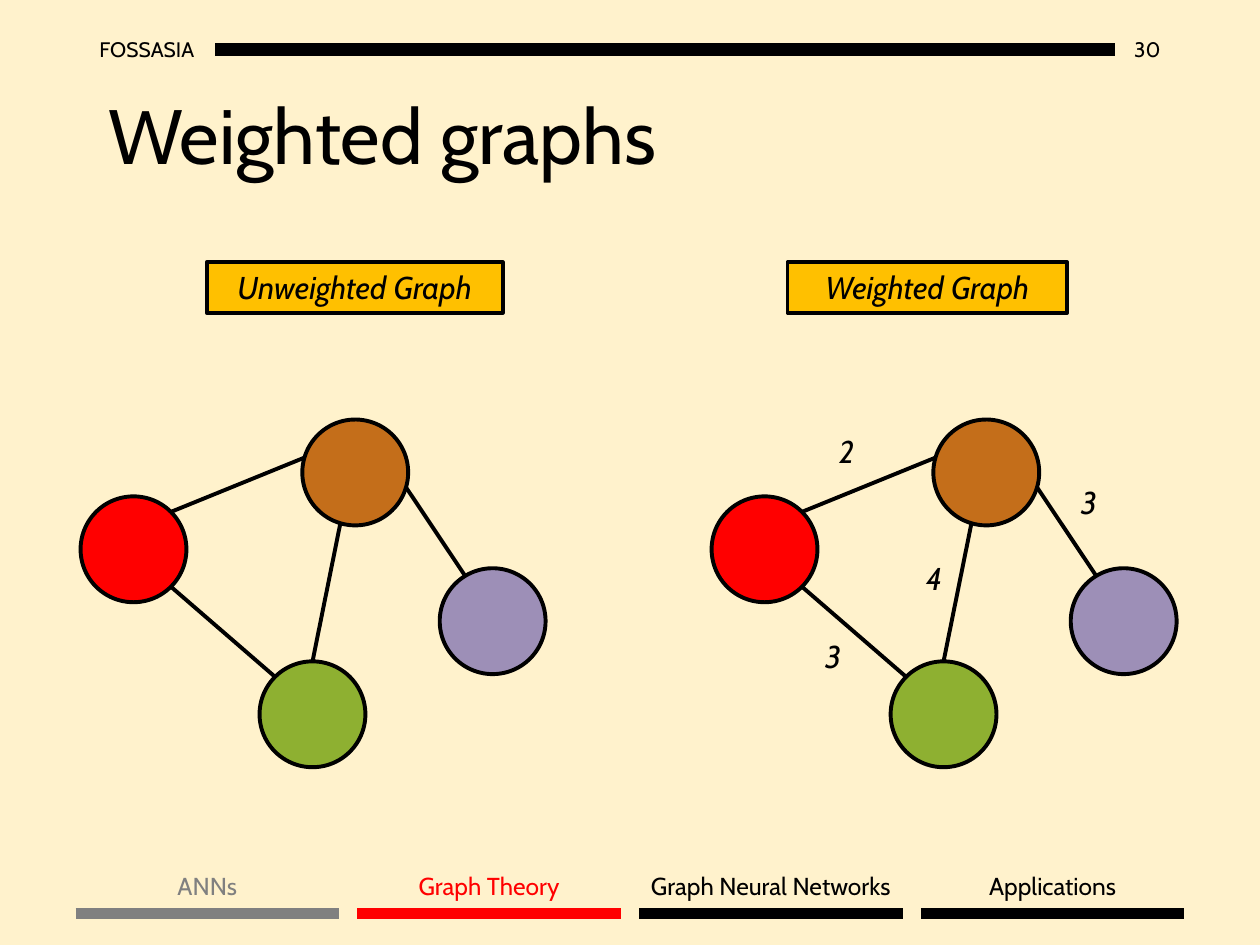
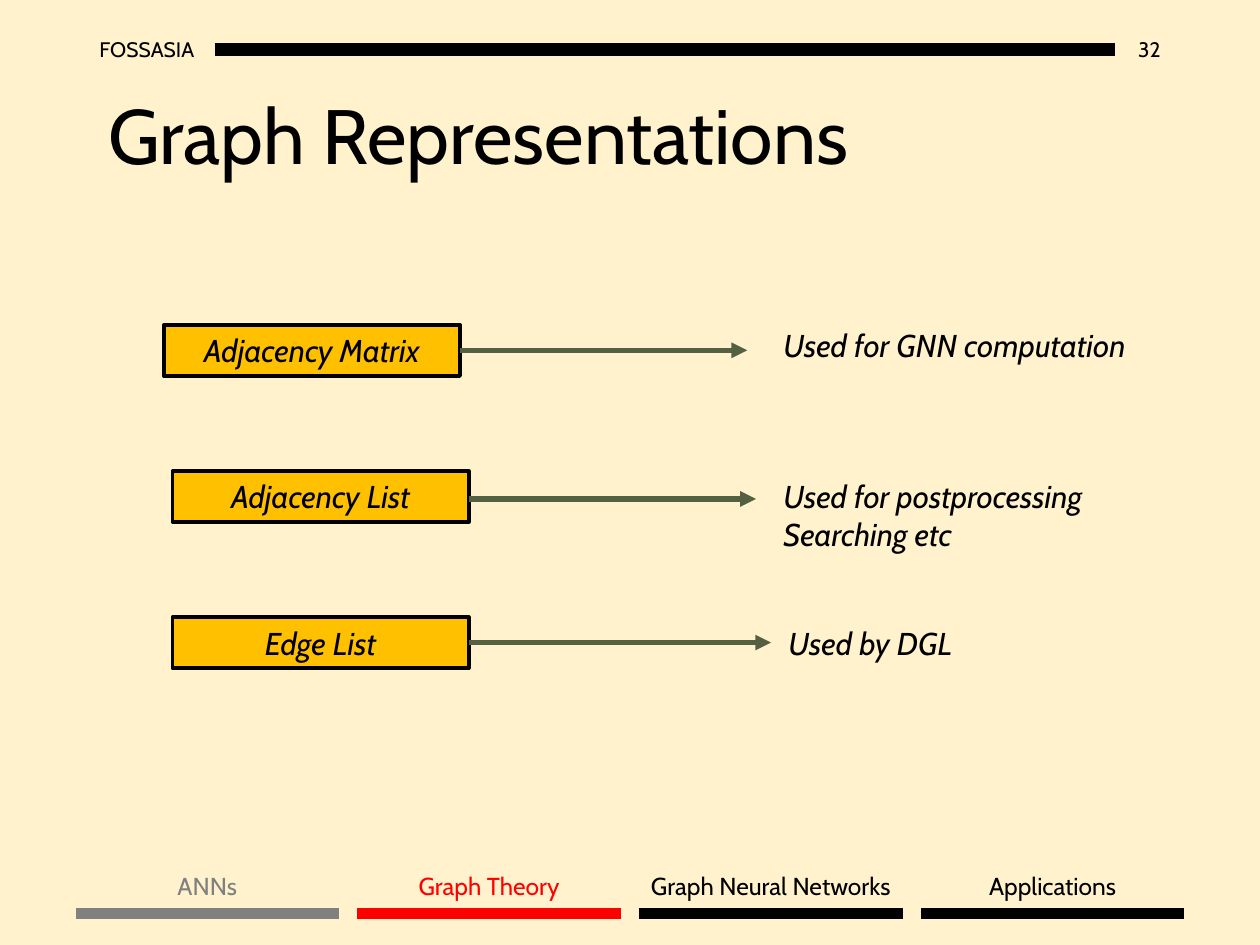
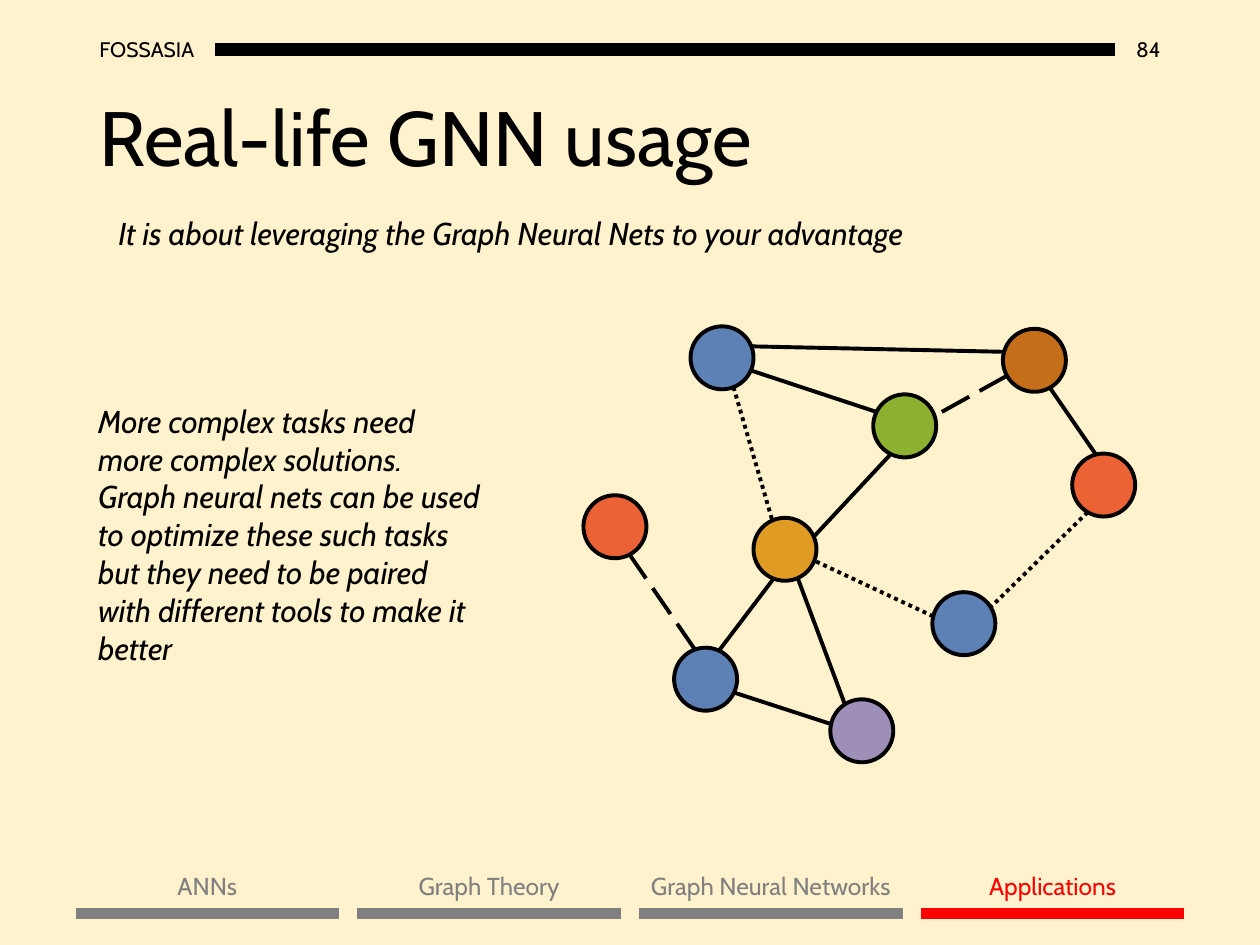
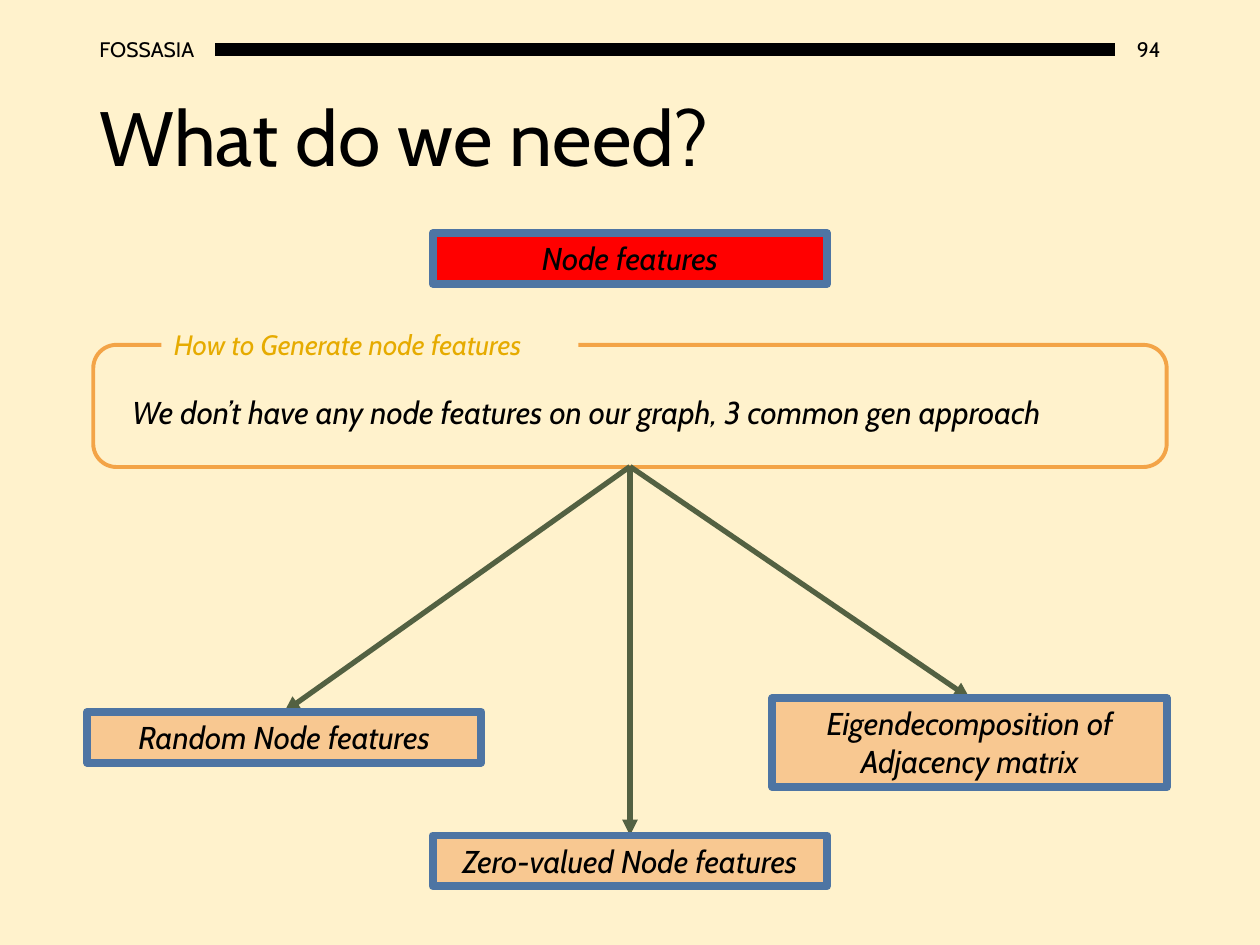
from dataclasses import dataclass
from enum import IntEnum
from math import cos, radians, sin
from typing import NamedTuple, Optional

from lxml.etree import SubElement
from pptx import Presentation
from pptx.dml.color import RGBColor
from pptx.enum.dml import MSO_LINE as Dash
from pptx.enum.shapes import MSO_CONNECTOR as Connector, MSO_SHAPE as Preset
from pptx.enum.text import MSO_ANCHOR as Anchor, MSO_AUTO_SIZE as AutoSize, PP_ALIGN as Align
from pptx.oxml.ns import qn
from pptx.util import Pt

# Colours
CREAM = RGBColor(0xFF, 0xF2, 0xCC)
BLACK = RGBColor(0, 0, 0)
GREY = RGBColor(0x80, 0x80, 0x80)
RED = RGBColor(0xFF, 0, 0)
GOLD = RGBColor(0xFF, 0xC0, 0)
DARK_GOLD = RGBColor(0xE6, 0xAB, 0)
PEACH = RGBColor(0xF8, 0xC8, 0x91)
ORANGE = RGBColor(0xF3, 0xA4, 0x47)
STEEL = RGBColor(0x4E, 0x75, 0xA3)
MOSS = RGBColor(0x53, 0x61, 0x42)
GREEN = RGBColor(0x8E, 0xB0, 0x31)
PURPLE = RGBColor(0x9D, 0x8F, 0xB7)
BROWN = RGBColor(0xC4, 0x6E, 0x1A)
BLUE = RGBColor(0x5D, 0x81, 0xB5)
AMBER = RGBColor(0xE0, 0x9B, 0x24)
CORAL = RGBColor(0xEB, 0x62, 0x35)

FONT = "Cabin"
OUTLINE = 2.25
LINE_HEIGHT = 29
BAR_LEFT, BAR_PITCH, BAR_WIDTH, BAR_Y = 43.2, 161, 150.6, 522


class Box(NamedTuple):
    left: float
    top: float
    width: float
    height: float = LINE_HEIGHT


class Point(NamedTuple):
    x: float
    y: float


class Section(NamedTuple):
    name: str
    label_width: float


class Side(IntEnum):
    """Connection sites of a circle, in degrees clockwise from the top."""
    N, NE, E, SE, S, SW, W, NW = range(0, 360, 45)


@dataclass(frozen=True)
class TextStyle:
    size: float
    color: RGBColor = BLACK
    italic: bool = False
    align: Align = Align.LEFT
    anchor: Anchor = Anchor.TOP
    spacing: Optional[float] = None
    wrap: bool = True
    grow: bool = False


@dataclass(frozen=True)
class Node:
    center: Point
    color: RGBColor
    turn: float = 0

    def site(self, side: Side, radius: float) -> Point:
        angle = radians(side + self.turn)
        return Point(self.center.x + radius * sin(angle), self.center.y - radius * cos(angle))


class Edge(NamedTuple):
    start: str
    start_side: Side
    end: str
    end_side: Side
    dash: Optional[Dash] = None


class Usage(NamedTuple):
    representation: str
    left: float
    arrow_y: float
    arrow_end: float
    purpose: str
    purpose_at: Point


class Approach(NamedTuple):
    name: str
    box: Box


TITLE = TextStyle(44, anchor=Anchor.MIDDLE, spacing=0.9)
HEADER = TextStyle(12, anchor=Anchor.MIDDLE)
PAGE = TextStyle(12, anchor=Anchor.MIDDLE, align=Align.RIGHT)
NOTE = TextStyle(18, italic=True, grow=True)
PLATE = TextStyle(18, italic=True, align=Align.CENTER, grow=True)
CAPTION = TextStyle(16, DARK_GOLD, italic=True, grow=True)

SECTIONS = [Section("ANNs", 50), Section("Graph Theory", 98.6),
            Section("Graph Neural Networks", 161), Section("Applications", 88.6)]


# Drawing helpers
def write(shape, text: str, style: TextStyle) -> None:
    frame = shape.text_frame
    frame.word_wrap = style.wrap
    frame.auto_size = AutoSize.SHAPE_TO_FIT_TEXT if style.grow else AutoSize.NONE
    frame.vertical_anchor = style.anchor
    frame.text = text
    for paragraph in frame.paragraphs:
        paragraph.alignment = style.align
        if style.spacing:
            paragraph.line_spacing = style.spacing
        for run in paragraph.runs:
            run.font.name = FONT
            run.font.size = Pt(style.size)
            run.font.italic = style.italic
            run.font.color.rgb = style.color


def add_text(slide, box: Box, text: str, style: TextStyle) -> None:
    write(slide.shapes.add_textbox(*map(Pt, box)), text, style)


def add_preset(slide, preset: Preset, box: Box, fill: Optional[RGBColor],
               line: Optional[RGBColor] = BLACK, width: float = OUTLINE):
    shape = slide.shapes.add_shape(preset, *map(Pt, box))
    shape.shadow.inherit = False
    if fill is None:
        shape.fill.background()
    else:
        shape.fill.solid()
        shape.fill.fore_color.rgb = fill
    if line is None:
        shape.line.fill.background()
    else:
        shape.line.color.rgb = line
        shape.line.width = Pt(width)
    return shape


def add_plate(slide, box: Box, text: str, fill: RGBColor = GOLD,
              line: RGBColor = BLACK, width: float = OUTLINE) -> None:
    write(add_preset(slide, Preset.RECTANGLE, box, fill, line, width), text, PLATE)


def add_line(slide, start: Point, end: Point, color: RGBColor = BLACK, width: float = OUTLINE,
             dash: Optional[Dash] = None, arrow: bool = False) -> None:
    connector = slide.shapes.add_connector(Connector.STRAIGHT, *map(Pt, (*start, *end)))
    connector.line.color.rgb = color
    connector.line.width = Pt(width)
    if dash is not None:
        connector.line.dash_style = dash
    properties = connector._element.spPr
    if arrow:
        SubElement(properties.find(qn("a:ln")), qn("a:tailEnd"), type="triangle")
    SubElement(properties, qn("a:effectLst"))


def add_arrow(slide, start: Point, end: Point) -> None:
    add_line(slide, start, end, MOSS, 3, arrow=True)


def add_graph(slide, nodes: dict[str, Node], edges: list[Edge], radius: float,
              shift: float = 0) -> None:
    for node in nodes.values():
        box = Box(node.center.x - radius + shift, node.center.y - radius, 2 * radius, 2 * radius)
        add_preset(slide, Preset.OVAL, box, node.color).rotation = node.turn
    for edge in edges:
        start = nodes[edge.start].site(edge.start_side, radius)
        end = nodes[edge.end].site(edge.end_side, radius)
        add_line(slide, Point(start.x + shift, start.y), Point(end.x + shift, end.y),
                 dash=edge.dash)


# Shared slide parts
def add_footer(slide, current: int, done: int) -> None:
    """Grey for the first `done` sections, red for the current one, black for the rest."""
    for index, section in enumerate(SECTIONS):
        color = RED if index == current else GREY if index < done else BLACK
        left = BAR_LEFT + index * BAR_PITCH
        add_line(slide, Point(left, BAR_Y), Point(left + BAR_WIDTH, BAR_Y), color, 6)
        label_left = left + (BAR_WIDTH - section.label_width) / 2
        add_text(slide, Box(label_left, 494, section.label_width, 24.2), section.name,
                 TextStyle(14, color, align=Align.CENTER, wrap=False, grow=True))


def new_slide(deck, page: int, title: str, title_at: Point):
    slide = deck.slides.add_slide(deck.slide_layouts[6])
    slide.background.fill.solid()
    slide.background.fill.fore_color.rgb = CREAM
    add_text(slide, Box(637.2, 13.7, 33.1), str(page), PAGE)
    add_text(slide, Box(49.7, 13.7, 73.4), "FOSSASIA", HEADER)
    add_line(slide, Point(123, 28.3), Point(637.2, 28.3), width=7)
    add_text(slide, Box(*title_at, 620.6, 104.4), title, TITLE)
    return slide


TITLE_INDENTED = Point(54.7, 27.4)
TITLE_FLUSH = Point(49.7, 28.8)


# Slides
def weighted_graphs(deck) -> None:
    slide = new_slide(deck, 30, "Weighted graphs", TITLE_INDENTED)
    add_footer(slide, current=1, done=1)
    add_plate(slide, Box(118.1, 149.8, 169.2), "Unweighted Graph")
    add_plate(slide, Box(450, 149.8, 159.8), "Weighted Graph")
    nodes = {
        "green": Node(Point(178.6, 408.2), GREEN),
        "purple": Node(Point(281.5, 355), PURPLE, 58.8),
        "red": Node(Point(76.3, 313.9), RED),
        "brown": Node(Point(203, 270), BROWN, 16.3),
    }
    edges = [
        Edge("brown", Side.S, "green", Side.N),
        Edge("red", Side.SE, "green", Side.NW),
        Edge("red", Side.NE, "brown", Side.W),
        Edge("brown", Side.E, "purple", Side.W),
    ]
    for shift in (0, 360.6):
        add_graph(slide, nodes, edges, 30.25, shift)
    weights = [("2", Point(472.3, 243.4)), ("3", Point(610.6, 272.2)),
               ("4", Point(522, 316.1)), ("3", Point(464.4, 360.7))]
    for weight, place in weights:
        add_text(slide, Box(*place, 28.1), weight, NOTE)


def graph_representations(deck) -> None:
    slide = new_slide(deck, 32, "Graph Representations", TITLE_INDENTED)
    add_footer(slide, current=1, done=1)
    usages = [
        Usage("Adjacency Matrix", 93.6, 200.2, 427, "Used for GNN computation",
              Point(440.6, 182.9)),
        Usage("Adjacency List", 98.6, 285.1, 432, "Used for postprocessing\nSearching etc",
              Point(440.6, 269.3)),
        Usage("Edge List", 98.6, 367.2, 440.6, "Used by DGL", Point(443.5, 352.8)),
    ]
    plate_width = 169.2
    for row, usage in enumerate(usages):
        add_plate(slide, Box(usage.left, 185.8 + 83.5 * row, plate_width), usage.representation)
        add_arrow(slide, Point(usage.left + plate_width, usage.arrow_y),
                  Point(usage.arrow_end, usage.arrow_y))
        lines = usage.purpose.count("\n") + 1
        add_text(slide, Box(*usage.purpose_at, 226.1, 7.2 + 21.9 * lines), usage.purpose, NOTE)


def real_life_usage(deck) -> None:
    slide = new_slide(deck, 84, "Real-life GNN usage", TITLE_FLUSH)
    add_footer(slide, current=3, done=3)
    add_text(slide, Box(60.5, 118.8, 545.8),
             "It is about leveraging the Graph Neural Nets to your advantage", NOTE)
    add_text(slide, Box(49, 226.1, 234, 159.8),
             "More complex tasks need more complex solutions. Graph neural nets can be used "
             "to optimize these such tasks but they need to be paired with different tools "
             "to make it better", NOTE)
    nodes = {
        "top blue": Node(Point(412.6, 204.5), BLUE, 23.6),
        "amber": Node(Point(448.6, 313.9), AMBER, 336.2),
        "green": Node(Point(517, 243.4), GREEN, 26.4),
        "right coral": Node(Point(630.7, 277.2), CORAL, 30.7),
        "purple": Node(Point(492.5, 417.6), PURPLE, 327.3),
        "brown": Node(Point(591.1, 205.9), BROWN, 330.6),
        "right blue": Node(Point(550.8, 356.4), BLUE, 13.4),
        "low blue": Node(Point(403.2, 388.1), BLUE, 70.2),
        "left coral": Node(Point(351.4, 301), CORAL, 17.2),
    }
    edges = [
        Edge("top blue", Side.E, "green", Side.W),
        Edge("top blue", Side.SE, "amber", Side.N, Dash.ROUND_DOT),
        Edge("right blue", Side.W, "amber", Side.SE, Dash.ROUND_DOT),
        Edge("low blue", Side.NW, "amber", Side.SW),
        Edge("green", Side.S, "amber", Side.E),
        Edge("right coral", Side.S, "right blue", Side.NE, Dash.ROUND_DOT),
        Edge("purple", Side.N, "amber", Side.S),
        Edge("low blue", Side.NE, "purple", Side.NW),
        Edge("low blue", Side.W, "left coral", Side.SE, Dash.LONG_DASH),
        Edge("brown", Side.W, "green", Side.NE, Dash.LONG_DASH),
        Edge("right coral", Side.NW, "brown", Side.S),
        Edge("brown", Side.NW, "top blue", Side.NE),
    ]
    add_graph(slide, nodes, edges, 18)


def what_we_need(deck) -> None:
    slide = new_slide(deck, 94, "What do we need?", TITLE_FLUSH)
    plate_width = 225.4
    add_plate(slide, Box(247.3, 133.2, plate_width), "Node features", RED, STEEL, 4.5)

    # Framed question
    add_text(slide, Box(68.4, 221, 581),
             "We don’t have any node features on our graph, 3 common gen approach", NOTE)
    frame = add_preset(slide, Preset.ROUNDED_RECTANGLE, Box(53.3, 197.1, 613.4, 69.8),
                       None, ORANGE)
    frame.adjustments[0] = 0.19
    caption = add_preset(slide, Preset.RECTANGLE, Box(92.2, 183.6, 238.3, 26.6), CREAM, None)
    write(caption, "How to Generate node features", CAPTION)

    # Three approaches
    approaches = [
        Approach("Random Node features", Box(49.7, 406.8, plate_width)),
        Approach("Zero-valued Node features", Box(247.3, 477.4, plate_width)),
        Approach("Eigendecomposition of Adjacency matrix", Box(441.4, 398.9, plate_width, 51)),
    ]
    for name, box in approaches:
        add_arrow(slide, Point(360, 266.6), Point(box.left + box.width / 2, box.top))
        add_plate(slide, box, name, PEACH, STEEL, 4.5)


def main() -> None:
    deck = Presentation()
    deck.slide_width, deck.slide_height = Pt(720), Pt(540)
    for build in (weighted_graphs, graph_representations, real_life_usage, what_we_need):
        build(deck)
    deck.save("out.pptx")


if __name__ == "__main__":
    main()
